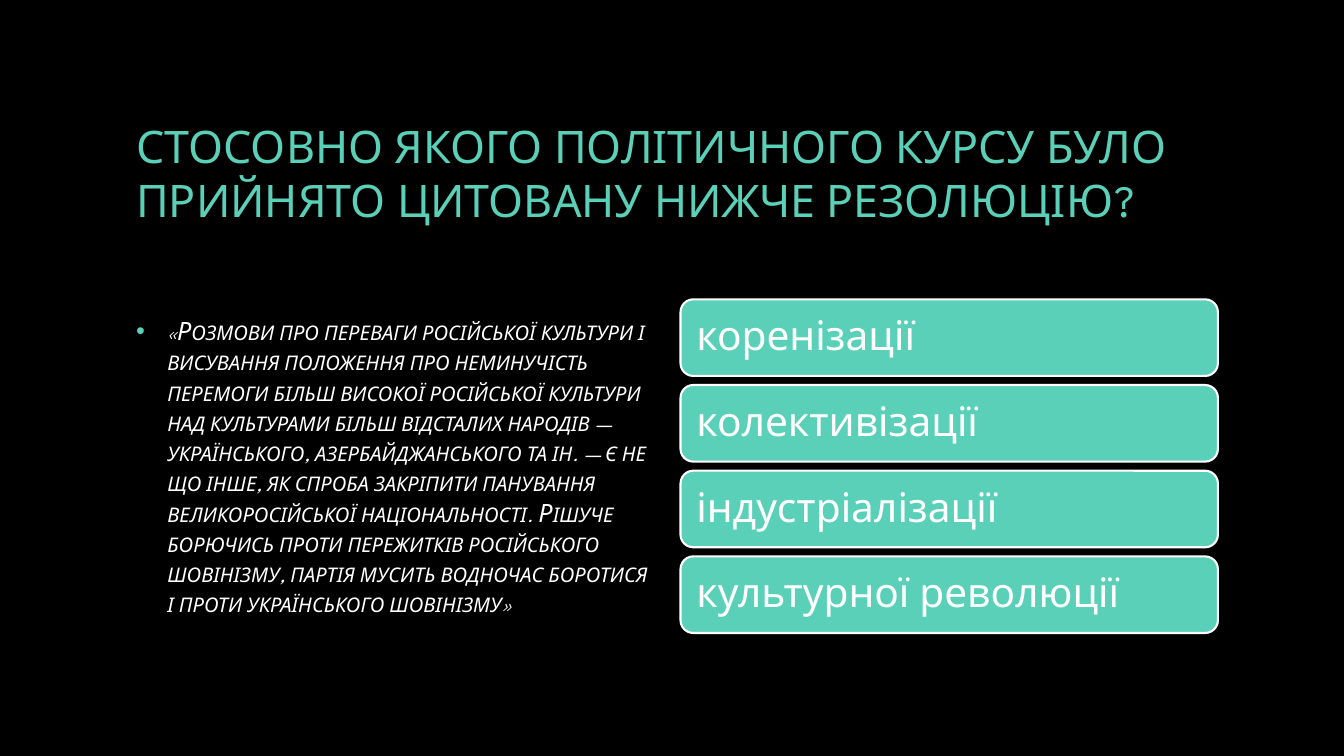
import pptx
import pptx.dml.color
import pptx.enum.shapes
import pptx.enum.text
import pptx.oxml
import pptx.oxml.ns
import pptx.util
from pptx.util import Inches

COLOURS = {"background": "000000", "accent": "5AD0B8", "light": "FFFFFF"}
FONT = "League Spartan"

QUESTION = "СТОСОВНО ЯКОГО ПОЛІТИЧНОГО КУРСУ БУЛО ПРИЙНЯТО ЦИТОВАНУ НИЖЧЕ РЕЗОЛЮЦІЮ?"
QUOTE = (
    "«Розмови про переваги російської культури і висування положення про "
    "неминучість перемоги більш високої російської культури над культурами "
    "більш відсталих народів — українського, азербайджанського та ін. — є не "
    "що інше, як спроба закріпити панування великоросійської національності. "
    "Рішуче борючись проти пережитків російського шовінізму, партія мусить "
    "водночас боротися і проти українського шовінізму»"
)
ANSWERS = ["коренізації", "колективізації", "індустріалізації", "культурної революції"]


def colour(name):
    return pptx.dml.color.RGBColor.from_string(COLOURS[name])


def write_text(box, text, *, size, ink="light", italic=False, small_caps=False,
               bullet=None, space_after=0, line_spacing=None):
    """Fill a shape with one left-aligned, vertically centred paragraph."""
    frame = box.text_frame
    frame.word_wrap = True
    frame.auto_size = pptx.enum.text.MSO_AUTO_SIZE.NONE
    frame.vertical_anchor = pptx.enum.text.MSO_ANCHOR.MIDDLE
    para = frame.paragraphs[0]
    para.alignment = pptx.enum.text.PP_ALIGN.LEFT
    para.space_before = pptx.util.Pt(0)
    para.space_after = pptx.util.Pt(space_after)
    if line_spacing:
        para.line_spacing = line_spacing
    if bullet:
        add_bullet(para, bullet, indent=Inches(0.31))
    span = para.add_run()
    span.text = text
    span.font.name = FONT
    span.font.size = pptx.util.Pt(size)
    span.font.italic = italic
    span.font.color.rgb = colour(ink)
    if small_caps:
        span._r.get_or_add_rPr().set("cap", "small")


def add_bullet(para, ink, indent):
    properties = para._p.get_or_add_pPr()
    properties.set("marL", str(indent))
    properties.set("indent", str(-indent))
    namespace = pptx.oxml.ns.nsdecls("a")
    for markup in (
        f'<a:buClr {namespace}><a:srgbClr val="{COLOURS[ink]}"/></a:buClr>',
        f'<a:buFont {namespace} typeface="Arial"/>',
        f'<a:buChar {namespace} char="•"/>',
    ):
        properties.append(pptx.oxml.parse_xml(markup))


class QuizSlide:
    def __init__(self, deck):
        self.page = deck.slides.add_slide(deck.slide_layouts[1])
        background = self.page.background.fill
        background.solid()
        background.fore_color.rgb = colour("background")

    def place(self, holder, left, top, width, height):
        holder.left, holder.top = Inches(left), Inches(top)
        holder.width, holder.height = Inches(width), Inches(height)
        return holder

    def title(self, text):
        holder = self.place(self.page.shapes.title, 1.25, 0.67, 10.83, 2.08)
        write_text(holder, text, size=32, ink="accent")

    def quote(self, text):
        holder = self.place(self.page.placeholders[1], 1.25, 2.92, 5.33, 3.42)
        write_text(holder, text, size=18, italic=True, small_caps=True,
                   bullet="accent", space_after=6)

    def answer(self, text, top):
        card = self.page.shapes.add_shape(
            pptx.enum.shapes.MSO_SHAPE.ROUNDED_RECTANGLE,
            Inches(6.75), Inches(top), Inches(5.33), Inches(0.76))
        card.shadow.inherit = False
        card.fill.solid()
        card.fill.fore_color.rgb = colour("accent")
        card.line.color.rgb = colour("light")
        card.line.width = pptx.util.Pt(1.5)
        frame = card.text_frame
        frame.margin_left = frame.margin_right = Inches(0.12)
        frame.margin_top = frame.margin_bottom = Inches(0.12)
        write_text(card, text, size=29, space_after=10, line_spacing=0.9)


def main():
    deck = pptx.Presentation()
    deck.slide_width, deck.slide_height = Inches(13.33), Inches(7.5)
    quiz = QuizSlide(deck)
    quiz.title(QUESTION)
    quiz.quote(QUOTE)
    for row, text in enumerate(ANSWERS):
        quiz.answer(text, top=2.97 + 0.85 * row)
    deck.save("out.pptx")


if __name__ == "__main__":
    main()
